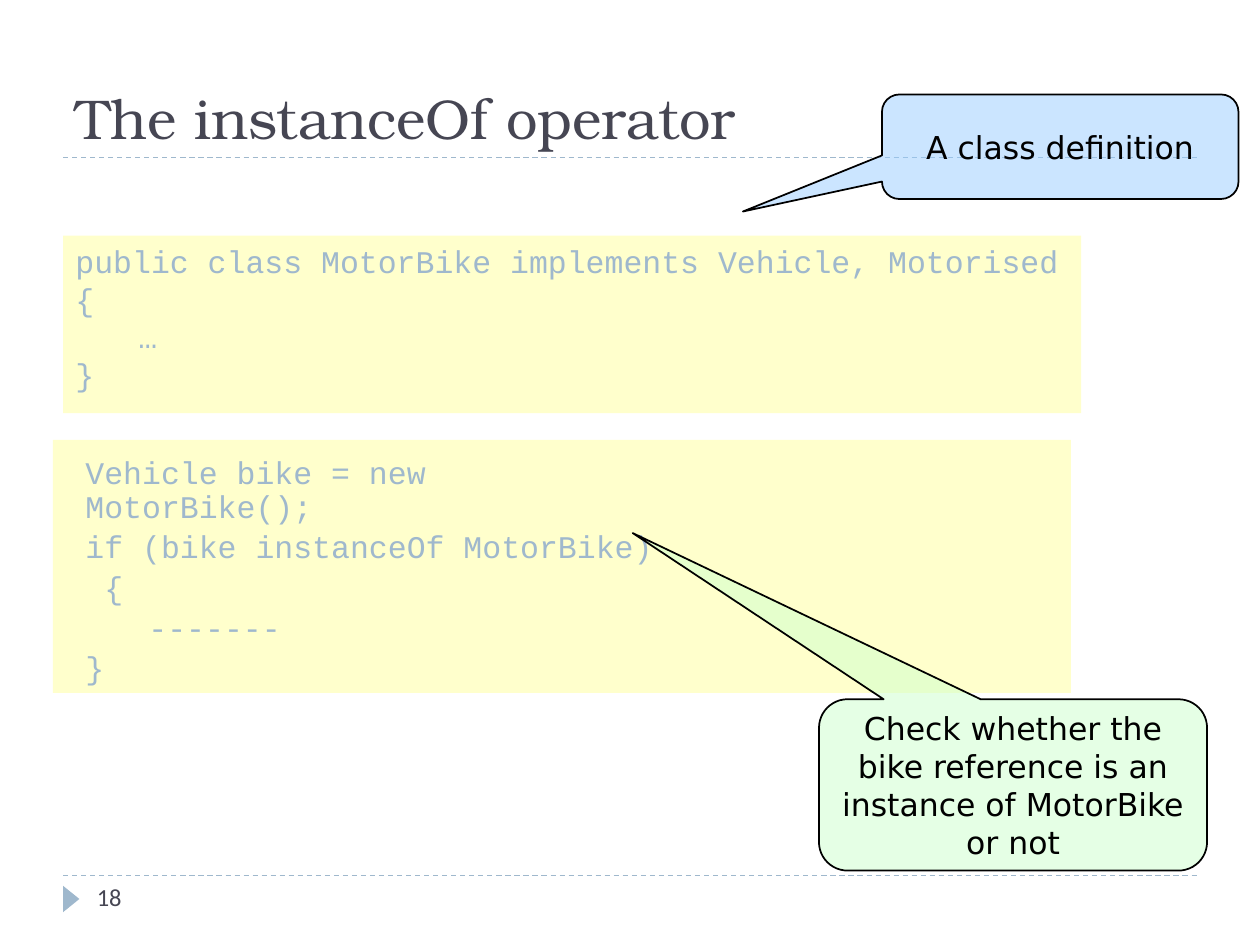
from lxml.etree import SubElement
from pptx import Presentation
from pptx.dml.color import RGBColor
from pptx.enum.dml import MSO_LINE
from pptx.enum.shapes import MSO_CONNECTOR, MSO_SHAPE
from pptx.enum.text import MSO_ANCHOR as Anchor, PP_ALIGN as Align
from pptx.oxml.ns import qn
from pptx.util import Inches, Pt

COLORS = {
    "ink": "464653",
    "accent": "9FB8CD",
    "code": "FFFFCC",
    "blue": "99CCFF",
    "green": "CCFFCC",
    "black": "000000",
}
TITLE_FONT, NUMBER_FONT = "TeX Gyre Bonum", "Calibri"
CODE_FONT, CALLOUT_FONT = "Courier New", "DejaVu Sans"


def rgb(name):
    return RGBColor.from_string(COLORS[name])


class SlideBuilder:
    """Holds the slide and draws each kind of element in the shared style."""

    def __init__(self, slide):
        self.slide = slide
        self.shapes = slide.shapes

    def place(self, shape, box):
        shape.left, shape.top, shape.width, shape.height = map(Inches, box)

    def add_lines(self, shape, lines, font, size, color, anchor=Anchor.TOP,
                  align=Align.LEFT, line_spacing=None, space_before=0):
        frame = shape.text_frame
        frame.word_wrap = True
        frame.vertical_anchor = anchor
        for index, line in enumerate(lines):
            paragraph = frame.paragraphs[0] if index == 0 else frame.add_paragraph()
            paragraph.alignment = align
            paragraph.space_before = Pt(space_before)
            if line_spacing:
                paragraph.line_spacing = line_spacing
            run = paragraph.add_run()
            run.text = line
            run.font.name = font
            run.font.size = Pt(size)
            run.font.color.rgb = rgb(color)

    def title(self, box, words):
        title = self.shapes.title
        self.place(title, box)
        self.add_lines(title, [words], TITLE_FONT, 32, "ink", Anchor.BOTTOM)

    def text(self, box, lines, font, size, color, **layout):
        self.add_lines(self.shapes.add_textbox(*map(Inches, box)),
                       lines, font, size, color, **layout)

    def shape(self, kind, box, fill):
        shape = self.shapes.add_shape(kind, *map(Inches, box))
        shape.shadow.inherit = False
        shape.fill.solid()
        shape.fill.fore_color.rgb = rgb(fill)
        shape.line.fill.background()
        return shape

    def dashed_rule(self, y):
        rule = self.shapes.add_connector(
            MSO_CONNECTOR.STRAIGHT, Inches(0.5), Inches(y), Inches(9.5), Inches(y))
        rule.line.color.rgb = rgb("accent")
        rule.line.width = Pt(0.75)
        rule.line.dash_style = MSO_LINE.DASH
        SubElement(rule._element.spPr, qn("a:effectLst"))

    def callout(self, box, fill, pointer, words):
        """Half-transparent balloon; pointer is the tip's offset from its centre."""
        balloon = self.shape(MSO_SHAPE.ROUNDED_RECTANGULAR_CALLOUT, box, fill)
        balloon.adjustments[0], balloon.adjustments[1] = pointer
        balloon.line.color.rgb = rgb("black")
        balloon.line.width = Pt(1)
        color = balloon._element.spPr.find(qn("a:solidFill"))[0]
        SubElement(color, qn("a:alpha"), val="50000")
        self.add_lines(balloon, [words], CALLOUT_FONT, 18, "black",
                       Anchor.MIDDLE, Align.CENTER)


def main():
    deck = Presentation()
    deck.slide_width, deck.slide_height = Inches(10), Inches(7.5)
    page = SlideBuilder(deck.slides.add_slide(deck.slide_layouts[5]))

    for y in (6.95, 1.25):
        page.dashed_rule(y)
    page_marker = page.shape(MSO_SHAPE.ISOSCELES_TRIANGLE,
                             (0.46, 7.07, 0.21, 0.13), "accent")
    page_marker.rotation = 90
    page.title((0.5, 0.17, 9, 1.08), "The instanceOf operator")
    page.text((0.67, 6.95, 2.17, 0.4), ["18"], NUMBER_FONT, 14, "ink")

    class_panel = page.shape(MSO_SHAPE.RECTANGLE, (0.5, 1.87, 8.08, 1.41), "code")
    page.add_lines(class_panel, [
        "public class MotorBike implements Vehicle, Motorised",
        "{",
        "\t…",
        "}",
    ], CODE_FONT, 18, "accent")

    page.shape(MSO_SHAPE.RECTANGLE, (0.42, 3.49, 8.08, 2.01), "code")
    page.text((0.58, 3.58, 4.83, 1.7), [
        "Vehicle bike = new MotorBike();",
        "if (bike instanceOf MotorBike)",
        " {",
        "\t-------",
        "}",
    ], CODE_FONT, 18, "accent", line_spacing=0.9, space_before=3.6)

    page.callout((7, 0.75, 2.83, 0.83), "blue", (-0.89, 0.62),
                 "A class definition")
    page.callout((6.5, 5.55, 3.08, 1.36), "green", (-0.98, -1.47),
                 "Check whether the bike reference is an instance of MotorBike or not")

    deck.save("out.pptx")


if __name__ == "__main__":
    main()
